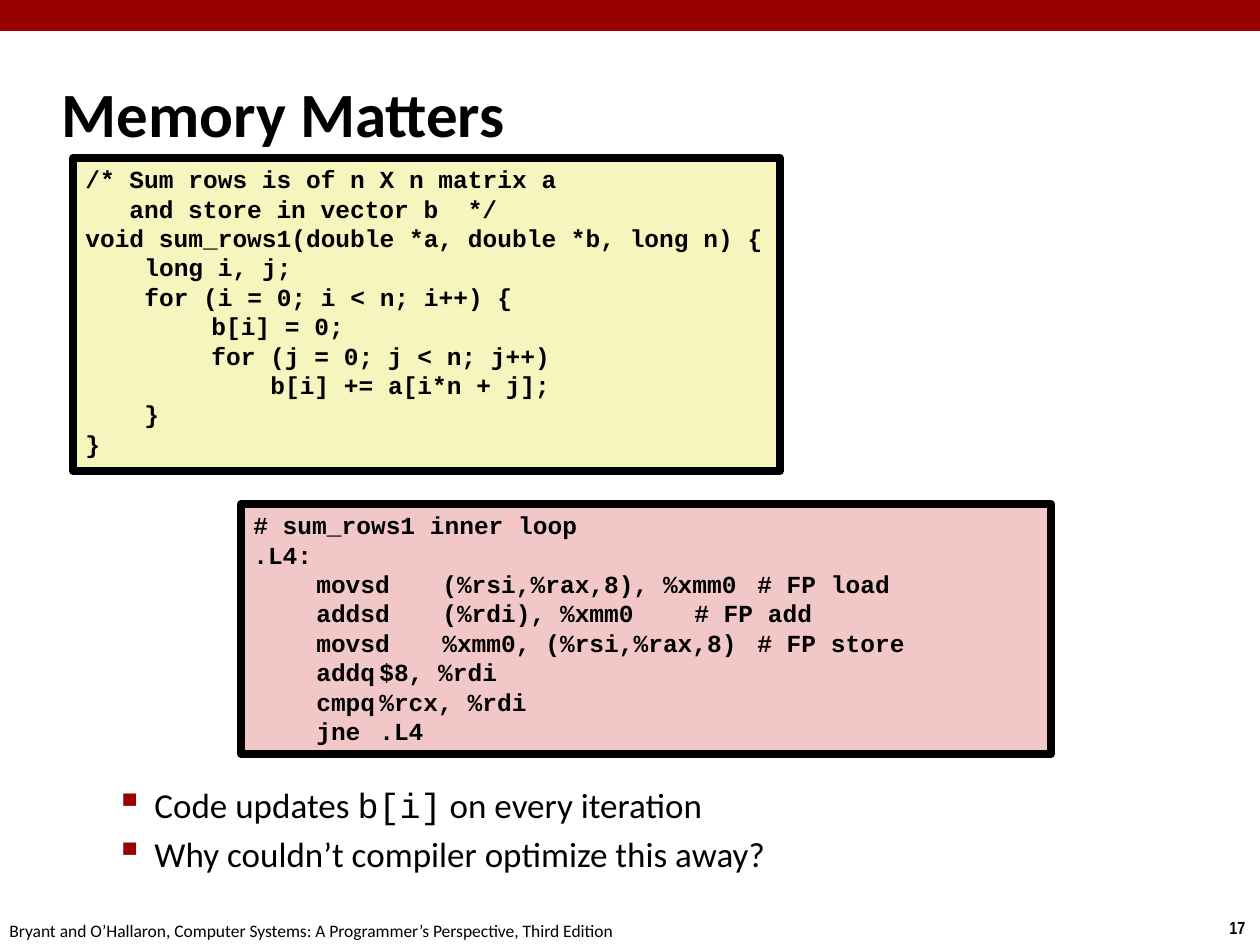
"""Build the Memory Matters slide with two code boxes and two bullets."""
from lxml.etree import SubElement as Sub
from pptx import Presentation
from pptx.dml.color import RGBColor as RGB
from pptx.enum.shapes import MSO_SHAPE as SHAPE
from pptx.enum.text import MSO_ANCHOR as ANCHOR, MSO_AUTO_SIZE as AUTO, PP_ALIGN as ALIGN
from pptx.oxml.ns import qn
from pptx.util import Pt

SCALE = 914400 // 126
COLORS = {"red": "990000", "black": "000000", "yellow": "F6F5BD", "pink": "F1C7C7"}
CODE = {"name": "Courier New", "size": Pt(14), "bold": True}
BODY = {"name": "Calibri", "size": Pt(20)}
MONO = BODY | {"name": "Courier New"}

C_LINES = [
    (0, "/* Sum rows is of n X n matrix a"),
    (44, "and store in vector b  */"),
    (0, "void sum_rows1(double *a, double *b, long n) {"),
    (59, "long i, j;"),
    (59, "for (i = 0; i < n; i++) {"),
    (126, "b[i] = 0;"),
    (126, "for (j = 0; j < n; j++)"),
    (185, "b[i] += a[i*n + j];"),
    (59, "}"),
    (0, "}"),
]
ASM_LINES = [(0, line) for line in (
    "# sum_rows1 inner loop",
    ".L4:",
    "\tmovsd\t(%rsi,%rax,8), %xmm0\t# FP load",
    "\taddsd\t(%rdi), %xmm0\t# FP add",
    "\tmovsd\t%xmm0, (%rsi,%rax,8)\t# FP store",
    "\taddq\t$8, %rdi",
    "\tcmpq\t%rcx, %rdi",
    "\tjne\t.L4",
)]
BULLETS = [
    [("Code updates ", BODY), ("b[i]", MONO), (" on every iteration", BODY)],
    [("Why couldn’t compiler optimize this away?", BODY)],
]


def px(*values):
    """Turn pixels into EMU."""
    return [round(v * SCALE) for v in values]


def add_run(p, text, fmt):
    """Add a formatted black run."""
    r = p.add_run()
    r.text = text
    for key, value in fmt.items():
        setattr(r.font, key, value)
    r.font.color.rgb = RGB.from_string(COLORS["black"])


def paragraphs(tf):
    """Yield the first paragraph, then new ones."""
    yield tf.paragraphs[0]
    while True:
        yield tf.add_paragraph()


def set_indent(p, left, first=0):
    """Set the left margin and first-line indent in pixels."""
    pPr = p._p.get_or_add_pPr()
    for key, value in zip(("marL", "indent"), px(left, first)):
        pPr.set(key, str(value))
    return pPr


def add_rect(s, box, fill, line=None):
    """Add a filled rectangle."""
    sp = s.shapes.add_shape(SHAPE.RECTANGLE, *px(*box))
    sp.shadow.inherit = False
    sp.fill.solid()
    sp.fill.fore_color.rgb = RGB.from_string(COLORS[fill])
    if line:
        sp.line.color.rgb = RGB.from_string(COLORS["black"])
        sp.line.width = Pt(line)
    else:
        sp.line.fill.background()
    return sp


def add_code(s, box, fill, lines, tabs=()):
    """Add a framed code listing with indents and tab stops."""
    tf = add_rect(s, box, fill, 4.5).text_frame
    for key, value in {"word_wrap": True, "vertical_anchor": ANCHOR.TOP}.items():
        setattr(tf, key, value)
    for (left, text), p in zip(lines, paragraphs(tf)):
        p.alignment = ALIGN.LEFT
        pPr = set_indent(p, left)
        if tabs:
            tab_list = Sub(pPr, qn("a:tabLst"))
            for pos in px(*tabs):
                Sub(tab_list, qn("a:tab"), pos=str(pos), algn="l")
        add_run(p, text, CODE)


def add_text(s, box, text, fmt, wrap=True):
    """Add a one-line text box."""
    tf = s.shapes.add_textbox(*px(*box)).text_frame
    tf.word_wrap = wrap
    add_run(tf.paragraphs[0], text, fmt)


def add_bullets(s, box, items):
    """Add a bulleted list."""
    tf = s.shapes.add_textbox(*px(*box)).text_frame
    tf.word_wrap = True
    for runs, p in zip(items, paragraphs(tf)):
        p.space_before = Pt(4)
        pPr = set_indent(p, 102, -39)
        Sub(Sub(pPr, qn("a:buClr")), qn("a:srgbClr"), val=COLORS["red"])
        Sub(pPr, qn("a:buSzPct"), val="110000")
        Sub(pPr, qn("a:buChar"), char="▪")
        for text, fmt in runs:
            add_run(p, text, fmt)


def set_title(s, box, text):
    """Place and format the title placeholder."""
    sp = s.shapes.title
    for key, value in zip(("left", "top", "width", "height"), px(*box)):
        setattr(sp, key, value)
    tf = sp.text_frame
    for key, value in {"auto_size": AUTO.NONE, "vertical_anchor": ANCHOR.MIDDLE}.items():
        setattr(tf, key, value)
    p = tf.paragraphs[0]
    p.alignment = ALIGN.LEFT
    add_run(p, text, {"name": "Calibri", "size": Pt(36), "bold": True})


def main():
    """Build and save the slide."""
    prs = Presentation()
    prs.slide_width, prs.slide_height = px(1260, 945)
    s = prs.slides.add_slide(prs.slide_layouts[5])
    add_rect(s, (0, 0, 1260, 31), "red")
    add_text(s, (1217, 911, 43, 34), "17",
             {"name": "Arial Narrow", "size": Pt(10), "bold": True}, wrap=False)
    add_text(s, (-3, 914, 640, 34),
             "Bryant and O’Hallaron, Computer Systems: A Programmer’s Perspective, Third Edition",
             {"name": "Calibri", "size": Pt(10)})
    set_title(s, (49, 60, 1046, 105), "Memory Matters")
    add_bullets(s, (40, 777, 1145, 111), BULLETS)
    add_code(s, (241, 504, 810, 250), "pink", ASM_LINES, (118, 236, 630))
    add_code(s, (73, 158, 707, 313), "yellow", C_LINES)
    prs.save("out.pptx")


main()
